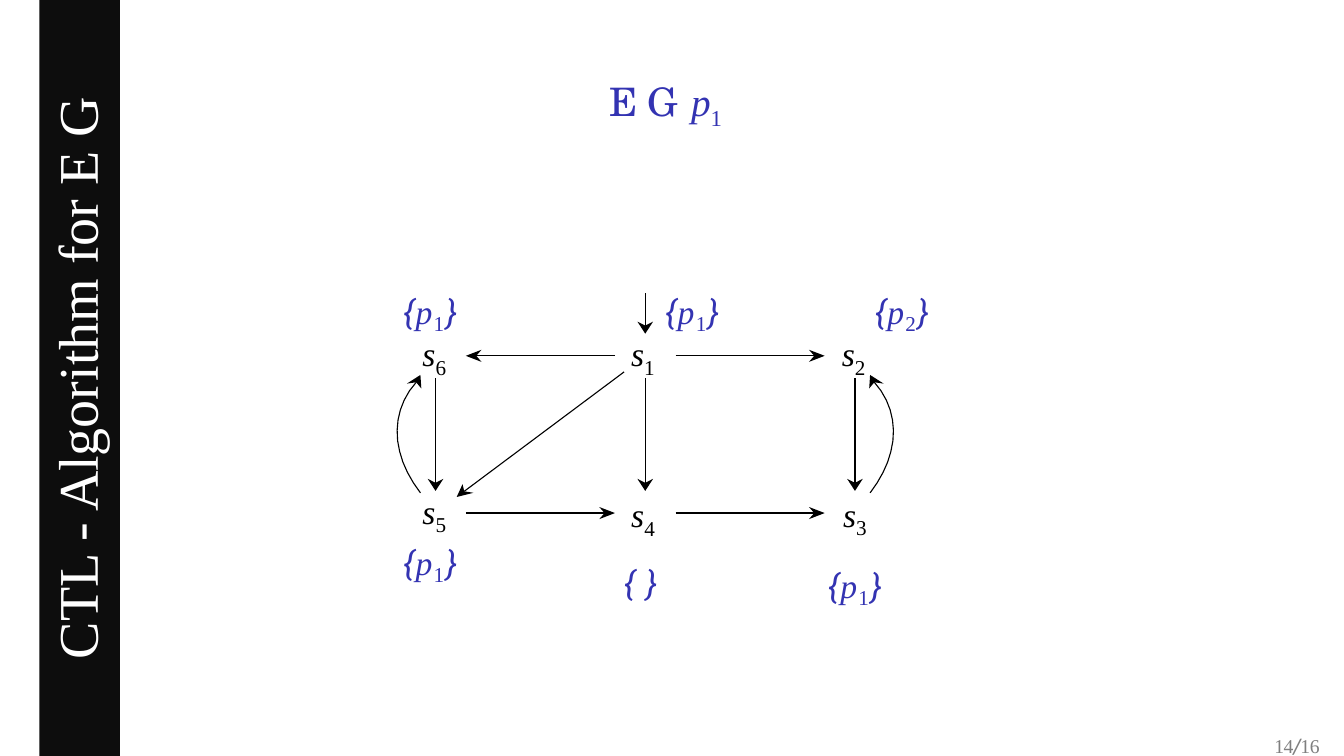
from math import hypot

from lxml.etree import SubElement
from pptx import Presentation
from pptx.dml.color import RGBColor
from pptx.enum.shapes import MSO_CONNECTOR, MSO_SHAPE
from pptx.enum.text import MSO_ANCHOR, MSO_AUTO_SIZE, PP_ALIGN
from pptx.oxml.ns import qn
from pptx.util import Emu, Pt

BLACK = RGBColor(0x00, 0x00, 0x00)
WHITE = RGBColor(0xFF, 0xFF, 0xFF)
BAND = RGBColor(0x0D, 0x0D, 0x0D)
BLUE = RGBColor(0x33, 0x33, 0xB2)
GRAY = RGBColor(0x7F, 0x7F, 0x7F)
SERIF = "Times New Roman"
SCHOLA = "TeX Gyre Schola"
BRACE = "Roboto"
SLASH = "DejaVu Sans"
COLUMNS = (432, 640, 848)
ROWS = (353, 509)
GAP_X, GAP_Y = 30, 22
STRETCH = 1.3


def px(n):
    return Emu(round(n * 9144))


def state(index):
    return [("s", SERIF, 24, BLACK, True, -1.4, 0),
            (index, SERIF, 26, BLACK, False, -2.1, -24)]


def label(index):
    return [("{", BRACE, 24, BLUE, True, 0.9, 0),
            ("p", SERIF, 24, BLUE, True, 0.9, 0),
            (index, SERIF, 26, BLUE, False, 1.4, -20),
            ("}", BRACE, 24, BLUE, True, 0.9, 0)]


class Deck:
    def __init__(self):
        self.prs = Presentation()
        self.prs.slide_width, self.prs.slide_height = px(1333), px(750)
        self.s = self.prs.slides.add_slide(self.prs.slide_layouts[6])

    def text(self, box, lines, indents=(10,), inset=3, gap=0, align=PP_ALIGN.LEFT):
        tf = self.s.shapes.add_textbox(*map(px, box)).text_frame
        tf.word_wrap = True
        tf.auto_size = MSO_AUTO_SIZE.SHAPE_TO_FIT_TEXT
        tf.margin_left = tf.margin_right = tf.margin_bottom = 0
        tf.margin_top = px(inset)
        for i, (runs, indent) in enumerate(zip(lines, indents)):
            p = tf.add_paragraph() if i else tf.paragraphs[0]
            p.alignment = align
            if i:
                p.space_before = Pt(gap)
            pPr = p._p.get_or_add_pPr()
            pPr.set("marL", str(px(indent)))
            pPr.set("indent", "0")
            for text, face, size, color, italic, spacing, baseline in runs:
                r = p.add_run()
                r.text = text
                r.font.name, r.font.size = face, Pt(size)
                r.font.italic = italic
                r.font.color.rgb = color
                rPr = r.font._element
                rPr.set("spc", str(round(spacing * 100)))
                if baseline:
                    rPr.set("baseline", str(baseline * 1000))

    def band(self, box, text):
        sp = self.s.shapes.add_shape(MSO_SHAPE.RECTANGLE, *map(px, box))
        sp.rotation = 270
        sp.shadow.inherit = False
        sp.fill.solid()
        sp.fill.fore_color.rgb = BAND
        sp.line.fill.background()
        tf = sp.text_frame
        tf.text = text
        tf.vertical_anchor = MSO_ANCHOR.MIDDLE
        p = tf.paragraphs[0]
        p.alignment = PP_ALIGN.CENTER
        p.line_spacing = 0.9
        p.font.name, p.font.size = SERIF, Pt(40)
        p.font.color.rgb = WHITE

    def ink(self, line):
        line.color.rgb = BLACK
        line.width = Pt(0.8)

    def outline(self, points, close):
        tenths = [(round(x * 10), round(y * 10)) for x, y in points]
        fb = self.s.shapes.build_freeform(*tenths[0], scale=914.4)
        fb.add_line_segments(tenths[1:], close=close)
        sp = fb.convert_to_shape()
        sp.shadow.inherit = False
        return sp

    def head(self, x, y, dx, dy):
        dx /= STRETCH
        size = hypot(dx, dy)
        dx, dy = dx / size, dy / size

        def place(back, side):
            return x - (back * dx + side * dy) * STRETCH, y - back * dy + side * dx

        notch = place(8, 0)
        sp = self.outline([place(12, 6), notch, place(12, -6), (x, y)], True)
        sp.fill.solid()
        sp.fill.fore_color.rgb = BLACK
        sp.line.fill.background()
        return notch

    def arrow(self, x1, y1, x2, y2):
        notch = self.head(x2, y2, x2 - x1, y2 - y1)
        c = self.s.shapes.add_connector(MSO_CONNECTOR.STRAIGHT, *map(px, (x1, y1, *notch)))
        self.ink(c.line)
        SubElement(c._element.spPr, qn("a:effectLst"))

    def across(self, start, end, row):
        step = GAP_X if end > start else -GAP_X
        self.arrow(COLUMNS[start] + step, ROWS[row], COLUMNS[end] - step, ROWS[row])

    def bend(self, x, side):
        self.head(x, 372, -4 * side, -7)
        points = []
        for i in range(12):
            t = i / 11
            u = 1 - t
            a, b, c, d = u**3, 3 * u * u * t, 3 * u * t * t, t**3
            points.append((x + side * (28 * b + 32 * c + 4 * d),
                           489 * a + 453 * b + 410 * c + 379 * d))
        sp = self.outline(points, False)
        sp.fill.background()
        self.ink(sp.line)


def main():
    d = Deck()
    d.text((594, 74, 142, 50), [[
        ("E ", SCHOLA, 28, BLUE, False, -0.8, 0),
        ("G ", SCHOLA, 28, BLUE, False, 1, 0),
        ("p", SERIF, 28, BLUE, True, -0.8, 0),
        ("1", SERIF, 28, BLUE, False, -1.2, -24)]])

    for x, y, index in ((616, 325, "1"), (825, 325, "2"), (409, 481, "5"), (409, 325, "6")):
        d.text((x, y, 45, 44), [state(index)])
    for x, y, index in ((650, 283, "1"), (858, 283, "2"), (390, 283, "1"), (390, 532, "1")):
        d.text((x, y, 84, 44), [label(index)])
    d.text((609, 462, 62, 128), [state("4"), [("{ }", BRACE, 24, BLUE, True, 1, 0)]],
           indents=(17, 10), inset=25, gap=15.7)
    d.text((806, 462, 84, 127), [state("3"), label("1")],
           indents=(0, 0), inset=25, gap=15.3, align=PP_ALIGN.CENTER)

    for start, end, row in ((1, 2, 0), (1, 0, 0), (0, 1, 1), (1, 2, 1)):
        d.across(start, end, row)
    for x in COLUMNS:
        d.arrow(x, ROWS[0] + GAP_Y, x, ROWS[1] - GAP_Y)
    d.arrow(619, 369, 453, 493)
    d.arrow(COLUMNS[1], 291, COLUMNS[1], ROWS[0] - GAP_Y)
    for x, side in ((COLUMNS[0], -1), (COLUMNS[2], 1)):
        d.bend(x + 15 * side, side)

    d.text((1261, 726, 60, 26), [[
        ("14", SERIF, 14, GRAY, False, -0.3, 0),
        ("/", SLASH, 14, GRAY, True, 0.2, 0),
        ("16", SERIF, 14, GRAY, False, -0.3, 0)]], indents=(3,), inset=2)
    d.band((-296, 335, 750, 80), "CTL - Algorithm for E G")
    d.prs.save("out.pptx")


if __name__ == "__main__":
    main()
